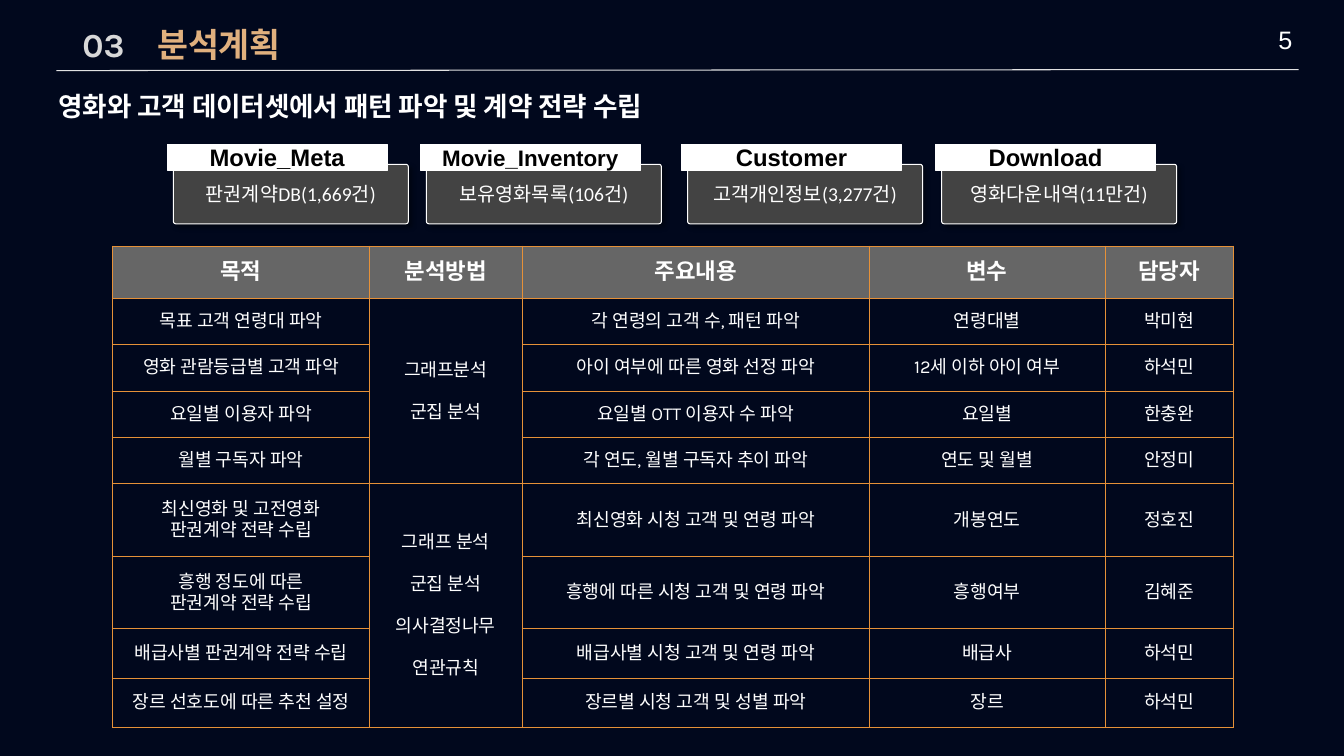
"""Builds the analysis plan slide: four data sets above a plan table."""
import pptx
import pptx.dml.color
import pptx.enum.shapes
import pptx.enum.text
import pptx.oxml
import pptx.oxml.ns
import pptx.util
from lxml import etree

Inches, Pt = pptx.util.Inches, pptx.util.Pt
ALIGN = pptx.enum.text.PP_ALIGN
ANCHOR = pptx.enum.text.MSO_ANCHOR
SHAPE = pptx.enum.shapes.MSO_SHAPE
qn = pptx.oxml.ns.qn

COLORS = {
    "background": "01081D", "white": "FFFFFF", "black": "000000",
    "card": "434343", "header": "666666", "border": "E69138",
    "number": "D8D8D8", "title": "E0B07E", "rule": "E1E1E2",
}

DATASETS = [
    (1.72, "Movie_Meta", 17, "판권계약DB(1,669건)"),
    (4.23, "Movie_Inventory", 16, "보유영화목록(106건)"),
    (6.82, "Customer", 17, "고객개인정보(3,277건)"),
    (9.34, "Download", 17, "영화다운내역(11만건)"),
]

COLUMN_WIDTHS = [2.54, 1.52, 3.44, 2.34, 1.27]
ROW_HEIGHTS = [0.52] + [0.46] * 4 + [0.72] * 2 + [0.49] * 2
PLAN = [
    ["목적", "분석방법", "주요내용", "변수", "담당자"],
    ["목표 고객 연령대 파악", "그래프분석\n군집 분석", "각 연령의 고객 수, 패턴 파악", "연령대별", "박미현"],
    ["영화 관람등급별 고객 파악", "", "아이 여부에 따른 영화 선정 파악", "12세 이하 아이 여부", "하석민"],
    ["요일별 이용자 파악", "", "요일별 OTT 이용자 수 파악", "요일별", "한충완"],
    ["월별 구독자 파악", "", "각 연도, 월별 구독자 추이 파악", "연도 및 월별", "안정미"],
    ["최신영화 및 고전영화\n판권계약 전략 수립", "그래프 분석\n군집 분석\n의사결정나무\n연관규칙",
     "최신영화 시청 고객 및 연령 파악", "개봉연도", "정호진"],
    ["흥행 정도에 따른\n판권계약 전략 수립", "", "흥행에 따른 시청 고객 및 연령 파악", "흥행여부", "김혜준"],
    ["배급사별 판권계약 전략 수립", "", "배급사별 시청 고객 및 연령 파악", "배급사", "하석민"],
    ["장르 선호도에 따른 추천 설정", "", "장르별 시청 고객 및 성별 파악", "장르", "하석민"],
]
METHOD_COLUMN = 1
METHOD_SPANS = [(1, 4), (5, 8)]


class PlanSlide:
    """Holds the colours and the current slide, and draws its elements."""

    def __init__(self, slide, colors):
        self.slide = slide
        self.colors = colors
        slide.background.fill.solid()
        slide.background.fill.fore_color.rgb = self.rgb("background")

    def rgb(self, name):
        return pptx.dml.color.RGBColor.from_string(self.colors[name])

    def style_run(self, r, size, font, color, bold):
        r.font.size = Pt(size)
        r.font.bold = bold
        r.font.color.rgb = self.rgb(color)
        r.font.name = font
        etree.SubElement(r.font._element, qn("a:ea"), typeface=font)

    def style_text(self, tf, size, font, color, bold=False, align=ALIGN.CENTER, gap=0):
        for i, p in enumerate(tf.paragraphs):
            p.alignment = align
            if i and gap:
                p.space_before = Pt(gap)
            for r in p.runs:
                self.style_run(r, size, font, color, bold)

    def text_box(self, box, text, inset=0.05, anchor=ANCHOR.TOP):
        tf = self.slide.shapes.add_textbox(*map(Inches, box)).text_frame
        tf.word_wrap = True
        tf.vertical_anchor = anchor
        tf.margin_top = tf.margin_bottom = Inches(inset)
        tf.text = text
        return tf

    def heading(self, box, number, title, tab):
        tf = self.text_box(box, number, anchor=ANCHOR.MIDDLE)
        p = tf.paragraphs[0]
        tabs = etree.SubElement(p._p.get_or_add_pPr(), qn("a:tabLst"))
        etree.SubElement(tabs, qn("a:tab"), pos=str(Inches(tab)), algn="l")
        p.add_run().text = "\t" + title
        for r, color in zip(p.runs, ("number", "title")):
            self.style_run(r, 24, "Karla", color, True)

    def block(self, kind, box, fill, text):
        sp = self.slide.shapes.add_shape(kind, *map(Inches, box))
        sp.shadow.inherit = False
        sp.fill.solid()
        sp.fill.fore_color.rgb = self.rgb(fill)
        sp.line.color.rgb = self.rgb("white")
        sp.line.width = Pt(0.75)
        tf = sp.text_frame
        tf.word_wrap = True
        tf.vertical_anchor = ANCHOR.MIDDLE
        tf.text = text
        return sp

    def card(self, left, text):
        sp = self.block(SHAPE.ROUNDED_RECTANGLE, (left, 1.63, 2.33, 0.59), "card", text)
        sp.adjustments[0] = 0.04
        effects = sp._element.spPr.find(qn("a:effectLst"))
        shadow = etree.SubElement(effects, qn("a:outerShdw"), blurRad=str(Pt(4)),
                                  dist=str(Pt(3)), dir=str(45 * 60000))
        color = etree.SubElement(shadow, qn("a:srgbClr"), val=self.colors["black"])
        etree.SubElement(color, qn("a:alpha"), val="40000")
        self.style_text(sp.text_frame, 14, "Calibri", "white")

    def label(self, left, text, size):
        sp = self.block(SHAPE.RECTANGLE, (left, 1.43, 2.18, 0.26), "white", text)
        tf = sp.text_frame
        tf.margin_top = tf.margin_bottom = Inches(0.1)
        self.style_text(tf, size, "Arial", "black", True)

    def rule(self, x1, y1, x2, y2):
        line = self.slide.shapes.add_connector(
            pptx.enum.shapes.MSO_CONNECTOR.STRAIGHT, *map(Inches, (x1, y1, x2, y2)))
        line.line.color.rgb = self.rgb("rule")
        line.line.width = Pt(0.75)
        etree.SubElement(line._element.spPr, qn("a:effectLst"))

    def cell_borders(self, cell):
        tcPr = cell._tc.get_or_add_tcPr()
        for i, side in enumerate(("lnL", "lnR", "lnT", "lnB")):
            ln = etree.Element(qn("a:" + side), w=str(Pt(0.75)))
            fill = etree.SubElement(ln, qn("a:solidFill"))
            etree.SubElement(fill, qn("a:srgbClr"), val=self.colors["border"])
            tcPr.insert(i, ln)

    def table(self, left, top, widths, heights, rows):
        table = self.slide.shapes.add_table(
            len(rows), len(widths), Inches(left), Inches(top),
            Inches(sum(widths)), Inches(sum(heights))).table
        table.first_row = table.horz_banding = False
        for column, width in zip(table.columns, widths):
            column.width = Inches(width)
        for row, height in zip(table.rows, heights):
            row.height = Inches(height)
        for first, last in METHOD_SPANS:
            table.cell(first, METHOD_COLUMN).merge(table.cell(last, METHOD_COLUMN))
        for i, row in enumerate(rows):
            for j, text in enumerate(row):
                self.table_cell(table.cell(i, j), text, i == 0, 15 if j == METHOD_COLUMN else 0)

    def table_cell(self, cell, text, is_header, gap):
        if is_header:
            cell.fill.solid()
            cell.fill.fore_color.rgb = self.rgb("header")
        else:
            cell.fill.background()
        cell.vertical_anchor = ANCHOR.MIDDLE
        self.cell_borders(cell)
        if text:
            cell.text_frame.text = text
            self.style_text(cell.text_frame, 16 if is_header else 13, "Karla", "white",
                            is_header, gap=gap)


def main():
    prs = pptx.Presentation()
    prs.slide_width, prs.slide_height = Inches(13.33), Inches(7.5)
    s = PlanSlide(prs.slides.add_slide(prs.slide_layouts[6]), COLORS)
    s.table(1.12, 2.44, COLUMN_WIDTHS, ROW_HEIGHTS, PLAN)
    tf = s.text_box((0.48, 0.79, 10.89, 0.54), "영화와 고객 데이터셋에서 패턴 파악 및 계약 전략 수립", 0.1)
    s.style_text(tf, 19, "Calibri", "white", True, ALIGN.LEFT)
    for left, name, size, content in DATASETS:
        s.card(left, content)
        s.label(left - 0.06, name, size)
    s.heading((0.72, 0.19, 3.84, 0.5), "03", "분석계획", 0.74)
    s.rule(0.56, 0.7, 12.88, 0.69)
    tf = s.text_box((12.58, 0.19, 0.31, 0.4), "5")
    s.style_text(tf, 18, "Arial", "white", align=ALIGN.LEFT)
    prs.save("out.pptx")


if __name__ == "__main__":
    main()
